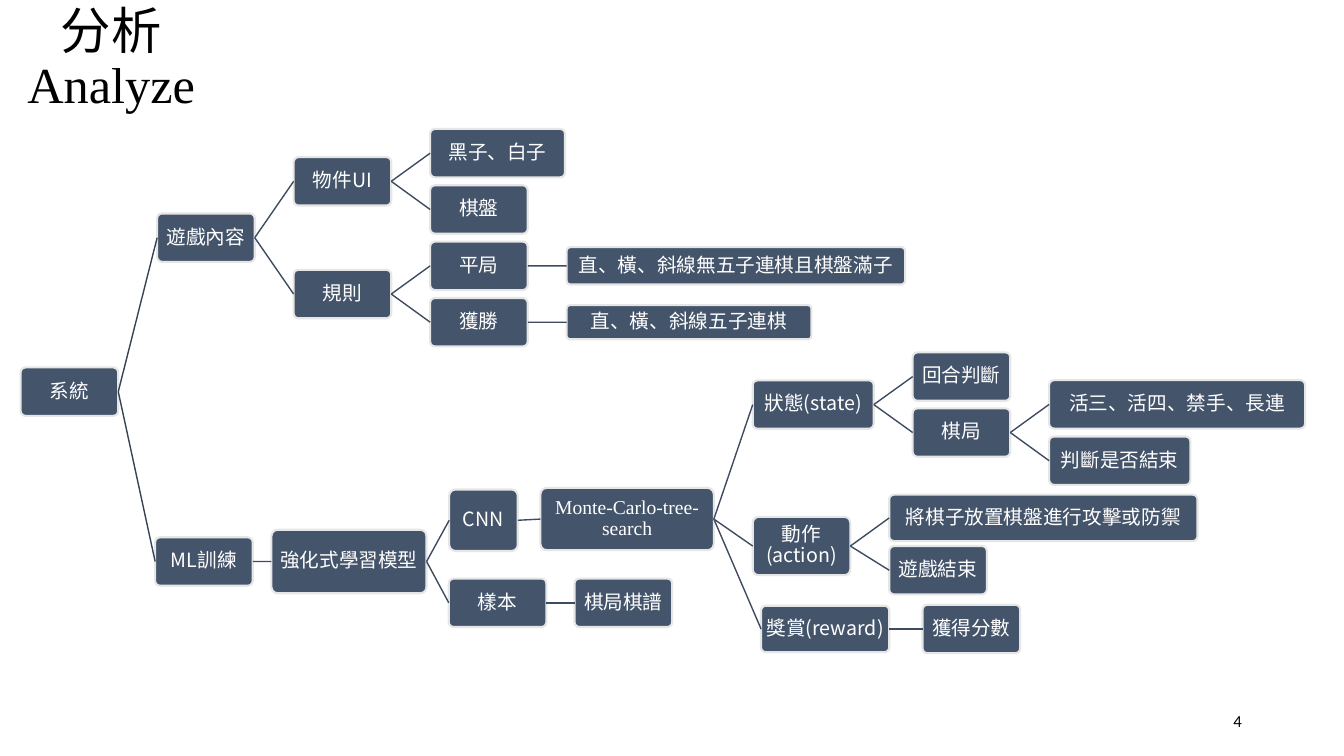
from dataclasses import dataclass
from typing import Optional

from lxml.etree import SubElement
from pptx import Presentation
from pptx.dml.color import RGBColor
from pptx.enum.shapes import MSO_CONNECTOR, MSO_SHAPE
from pptx.enum.text import MSO_ANCHOR, MSO_AUTO_SIZE, PP_ALIGN
from pptx.oxml.ns import qn
from pptx.shapes.autoshape import Shape
from pptx.slide import Slide
from pptx.text.text import TextFrame
from pptx.util import Cm, Pt


@dataclass(frozen=True)
class Theme:
    fill: RGBColor = RGBColor(0x44, 0x54, 0x6A)
    border: RGBColor = RGBColor(0xE7, 0xE6, 0xE6)
    root_link: RGBColor = RGBColor(0x36, 0x43, 0x55)
    link: RGBColor = RGBColor(0x3E, 0x4C, 0x60)
    node_text: RGBColor = RGBColor(0xFF, 0xFF, 0xFF)
    text: RGBColor = RGBColor(0, 0, 0)
    cjk: str = "Noto Sans CJK SC"
    serif: str = "Times New Roman"
    number: str = "Calibri"
    title_size: Pt = Pt(36)
    node_size: Pt = Pt(14)
    number_size: Pt = Pt(12)
    border_width: Pt = Pt(1.5)
    link_width: Pt = Pt(1)


THEME = Theme()
ROOT_LEFT = 0.52
FIRST_ROW, ROW_STEP = 3.86, 1.42


@dataclass(frozen=True)
class Node:
    """A box of the tree, in centimetres; gap is the distance to its parent."""
    text: str
    children: tuple["Node", ...] = ()
    y: Optional[float] = None
    width: float = 2.46
    height: float = 1.22
    gap: float = 0.98
    font: str = THEME.cjk

    @property
    def middle(self) -> float:
        """The given height, or halfway between the first and last child."""
        if self.y is not None:
            return self.y
        return (self.children[0].middle + self.children[-1].middle) / 2


def row(index: int) -> float:
    return FIRST_ROW + index * ROW_STEP


GAME = Node("遊戲內容", (
    Node("物件UI", (
        Node("黑子、白子", y=row(0), width=3.4),
        Node("棋盤", y=row(1)),
    )),
    Node("規則", (
        Node("平局", (
            Node("直、橫、斜線無五子連棋且棋盤滿子", y=row(2), width=8.53, height=0.94),
        )),
        Node("獲勝", (
            Node("直、橫、斜線五子連棋", y=row(3), width=6.17, height=0.86),
        )),
    )),
))

STATE = Node("狀態(state)", (
    Node("回合判斷", y=9.49),
    Node("棋局", (
        Node("活三、活四、禁手、長連", y=10.19, width=6.45),
        Node("判斷是否結束", y=11.61, width=3.56),
    )),
), width=3.05)

ACTION = Node("動作(action)", (
    Node("將棋子放置棋盤進行攻擊或防禦", y=13.05, width=7.77, height=1.17),
    Node("遊戲結束", y=14.37),
), y=13.76, height=1.47)

REWARD = Node("獎賞(reward)", (
    Node("獲得分數", y=15.85, gap=0.84),
), width=3.23, height=1.17, gap=1.19)

SEARCH = Node("Monte-Carlo-tree-search", (STATE, ACTION, REWARD),
              y=13.08, width=4.37, height=1.57, gap=0.57, font=THEME.serif)

TRAINING = Node("ML訓練", (
    Node("強化式學習模型", (
        Node("CNN", (SEARCH,), y=13.11, width=1.73, height=1.55, gap=0.57),
        Node("樣本", (Node("棋局棋譜", y=15.19, gap=0.71),), gap=0.56),
    ), width=3.91, height=1.6, gap=0.47),
), gap=0.93)

SYSTEM = Node("系統", (GAME, TRAINING), y=9.87)


def format_text(tf: TextFrame, align: PP_ALIGN, font: str, size: Pt,
                color: RGBColor, spacing: float = 1.0) -> None:
    tf.word_wrap = True
    tf.auto_size = MSO_AUTO_SIZE.NONE
    tf.vertical_anchor = MSO_ANCHOR.MIDDLE
    for p in tf.paragraphs:
        p.alignment = align
        p.line_spacing = spacing
        for r in p.runs:
            r.font.name = font
            r.font.size = size
            r.font.color.rgb = color
            SubElement(r.font._element, qn("a:ea"), typeface=THEME.cjk)


def add_box(s: Slide, node: Node, left: float) -> Shape:
    sp = s.shapes.add_shape(
        MSO_SHAPE.ROUNDED_RECTANGLE, Cm(left), Cm(node.middle - node.height / 2),
        Cm(node.width), Cm(node.height))
    sp.adjustments[0] = 0.1
    sp.shadow.inherit = False
    sp.fill.solid()
    sp.fill.fore_color.rgb = THEME.fill
    sp.line.color.rgb = THEME.border
    sp.line.width = THEME.border_width
    tf = sp.text_frame
    tf.margin_left = tf.margin_right = tf.margin_top = tf.margin_bottom = Cm(0.02)
    tf.text = node.text
    format_text(tf, PP_ALIGN.CENTER, node.font, THEME.node_size, THEME.node_text, 0.9)
    return sp


def add_link(s: Slide, parent: Shape, child: Shape, color: RGBColor) -> None:
    """Join the right side of the parent to the left side of the child."""
    link = s.shapes.add_connector(MSO_CONNECTOR.STRAIGHT, 0, 0, 0, 0)
    link.begin_connect(parent, 3)
    link.end_connect(child, 1)
    link.line.color.rgb = color
    link.line.width = THEME.link_width
    SubElement(link._element.spPr, qn("a:effectLst"))


def add_tree(s: Slide, node: Node, left: float, color: RGBColor = THEME.link) -> Shape:
    """Draw a node and its branches; color is that of its own links."""
    box = add_box(s, node, left)
    for child in node.children:
        child_box = add_tree(s, child, left + node.width + child.gap)
        add_link(s, box, child_box, color)
    return box


def add_title(s: Slide) -> None:
    title = s.shapes.title
    title.left, title.top, title.width, title.height = Cm(0), Cm(0), Cm(5.61), Cm(3.02)
    title.text_frame.text = "分析\vAnalyze"
    format_text(title.text_frame, PP_ALIGN.CENTER, THEME.serif,
                THEME.title_size, THEME.text, 0.9)


def add_page_number(s: Slide) -> None:
    tf = s.shapes.add_textbox(Cm(23.93), Cm(17.65), Cm(7.62), Cm(1.02)).text_frame
    tf.text = "4"
    format_text(tf, PP_ALIGN.RIGHT, THEME.number, THEME.number_size, THEME.text)


def main() -> None:
    prs = Presentation()
    prs.slide_width, prs.slide_height = Cm(33.87), Cm(19.05)
    s = prs.slides.add_slide(prs.slide_layouts[5])
    add_title(s)
    add_tree(s, SYSTEM, ROOT_LEFT, THEME.root_link)
    add_page_number(s)
    prs.save("out.pptx")


if __name__ == "__main__":
    main()
